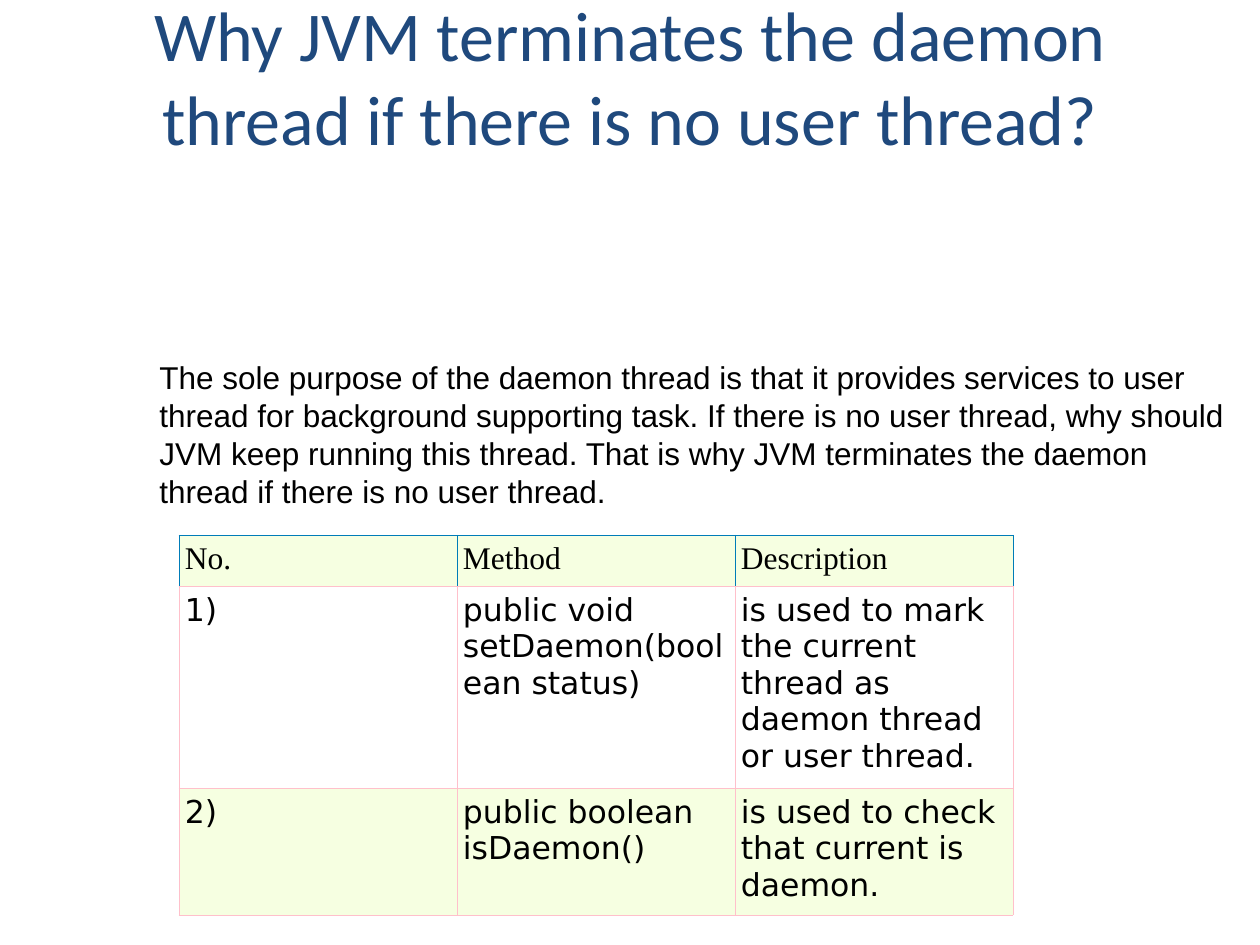
"""Build a slide on why the JVM stops daemon threads, with a method table."""
from dataclasses import dataclass
from typing import Optional

from lxml import etree
from pptx import Presentation, util as u
from pptx.dml.color import RGBColor
from pptx.enum import text
from pptx.oxml import ns

PX = 914400 / 126


def px(n: int) -> u.Emu:
    return u.Emu(round(n * PX))


@dataclass(frozen=True)
class Style:
    font: str
    size: int
    color: str


@dataclass(frozen=True)
class Theme:
    title: Style = Style("Calibri", 40, "1F497D")
    body: Style = Style("Arial", 18, "000000")
    header: Style = Style("Times New Roman", 18, "000000")
    cell: Style = Style("DejaVu Sans", 18, "000000")
    tint: str = "F6FFE1"
    plain: str = "FFFFFF"
    header_line: str = "007CB8"
    line: str = "FFC0CB"
    line_width: float = 0.34


@dataclass(frozen=True)
class TextBlock:
    words: str
    style: Style
    left: int
    top: int
    width: int
    height: int
    align: text.PP_ALIGN = text.PP_ALIGN.LEFT
    anchor: text.MSO_ANCHOR = text.MSO_ANCHOR.TOP
    bottom: int = 6
    leading: Optional[float] = None


@dataclass(frozen=True)
class Row:
    height: int
    fill: str
    style: Style
    edge: str
    cells: tuple[str, ...]


THEME = Theme()
BLOCKS = (
    TextBlock("Why JVM terminates the daemon thread if there is no user thread?",
              THEME.title, 63, 38, 1134, 158, text.PP_ALIGN.CENTER,
              text.MSO_ANCHOR.MIDDLE, bottom=90),
    TextBlock("The sole purpose of the daemon thread is that it provides services to user "
              "thread for background supporting task. If there is no user thread, why should "
              "JVM keep running this thread. That is why JVM terminates the daemon thread "
              "if there is no user thread.",
              THEME.body, 147, 352, 1093, 164, leading=21.6),
)
ROWS = (
    Row(51, THEME.tint, THEME.header, THEME.header_line, ("No.", "Method", "Description")),
    Row(202, THEME.plain, THEME.cell, THEME.line,
        ("1)", "public void setDaemon(boolean status)",
         "is used to mark the current thread as daemon thread or user thread.")),
    Row(127, THEME.tint, THEME.cell, THEME.line,
        ("2)", "public boolean isDaemon()", "is used to check that current is daemon.")),
)
TABLE_LEFT, TABLE_TOP, COL_WIDTH, CELL_INSET = 179, 535, 278, 6


def add_run(p, words: str, style: Style) -> None:
    r = p.add_run()
    r.text = words
    r.font.name = style.font
    r.font.size = u.Pt(style.size)
    r.font.color.rgb = RGBColor.from_string(style.color)


def add_block(s, block: TextBlock) -> None:
    sp = s.shapes.add_textbox(px(block.left), px(block.top), px(block.width), px(block.height))
    tf = sp.text_frame
    tf.word_wrap = True
    tf.auto_size = text.MSO_AUTO_SIZE.NONE
    tf.vertical_anchor = block.anchor
    tf.margin_bottom = px(block.bottom)
    p = tf.paragraphs[0]
    p.alignment = block.align
    if block.leading:
        p.line_spacing = u.Pt(block.leading)
    add_run(p, block.words, block.style)


def set_borders(cell, edge: str) -> None:
    tc_pr = cell._tc.get_or_add_tcPr()
    colors = {"lnL": edge, "lnR": edge, "lnT": edge, "lnB": THEME.line}
    for i, (side, color) in enumerate(colors.items()):
        ln = etree.Element(ns.qn(f"a:{side}"), w=str(u.Pt(THEME.line_width)))
        fill = etree.SubElement(ln, ns.qn("a:solidFill"))
        etree.SubElement(fill, ns.qn("a:srgbClr"), val=color)
        tc_pr.insert(i, ln)


def fill_cell(cell, words: str, row: Row) -> None:
    cell.margin_left = cell.margin_right = px(CELL_INSET)
    cell.margin_top = cell.margin_bottom = px(CELL_INSET)
    cell.fill.solid()
    cell.fill.fore_color.rgb = RGBColor.from_string(row.fill)
    add_run(cell.text_frame.paragraphs[0], words, row.style)
    set_borders(cell, row.edge)


def add_methods(s, rows: tuple[Row, ...]) -> None:
    n_cols = len(rows[0].cells)
    table = s.shapes.add_table(len(rows), n_cols, px(TABLE_LEFT), px(TABLE_TOP),
                               px(COL_WIDTH * n_cols), px(sum(r.height for r in rows))).table
    table.first_row = table.horz_banding = False
    for col in table.columns:
        col.width = px(COL_WIDTH)
    for i, row in enumerate(rows):
        table.rows[i].height = px(row.height)
        for j, words in enumerate(row.cells):
            fill_cell(table.cell(i, j), words, row)


def main() -> None:
    prs = Presentation()
    prs.slide_width, prs.slide_height = px(1260), px(945)
    s = prs.slides.add_slide(prs.slide_layouts[6])
    for block in BLOCKS:
        add_block(s, block)
    add_methods(s, ROWS)
    prs.save("out.pptx")


if __name__ == "__main__":
    main()
